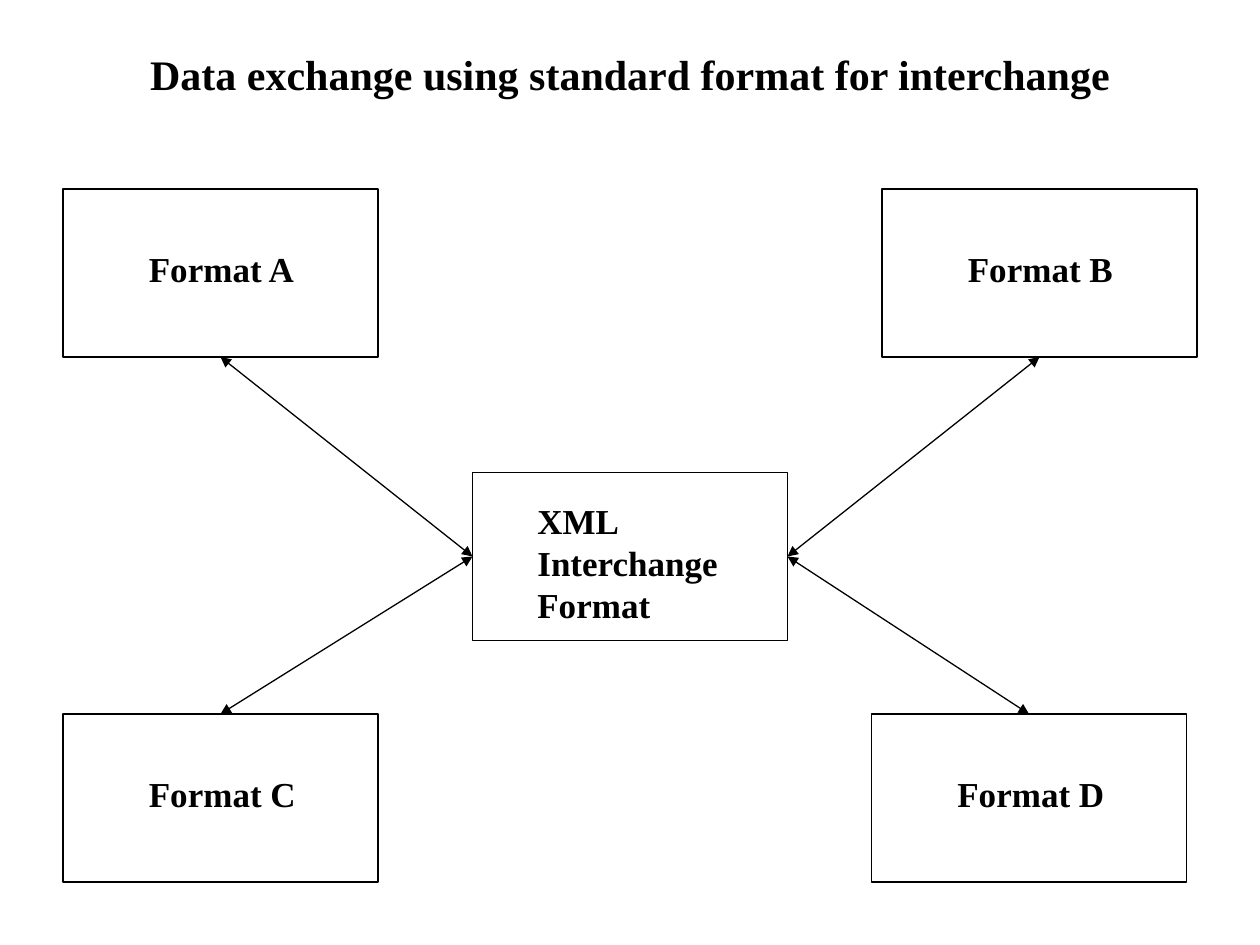
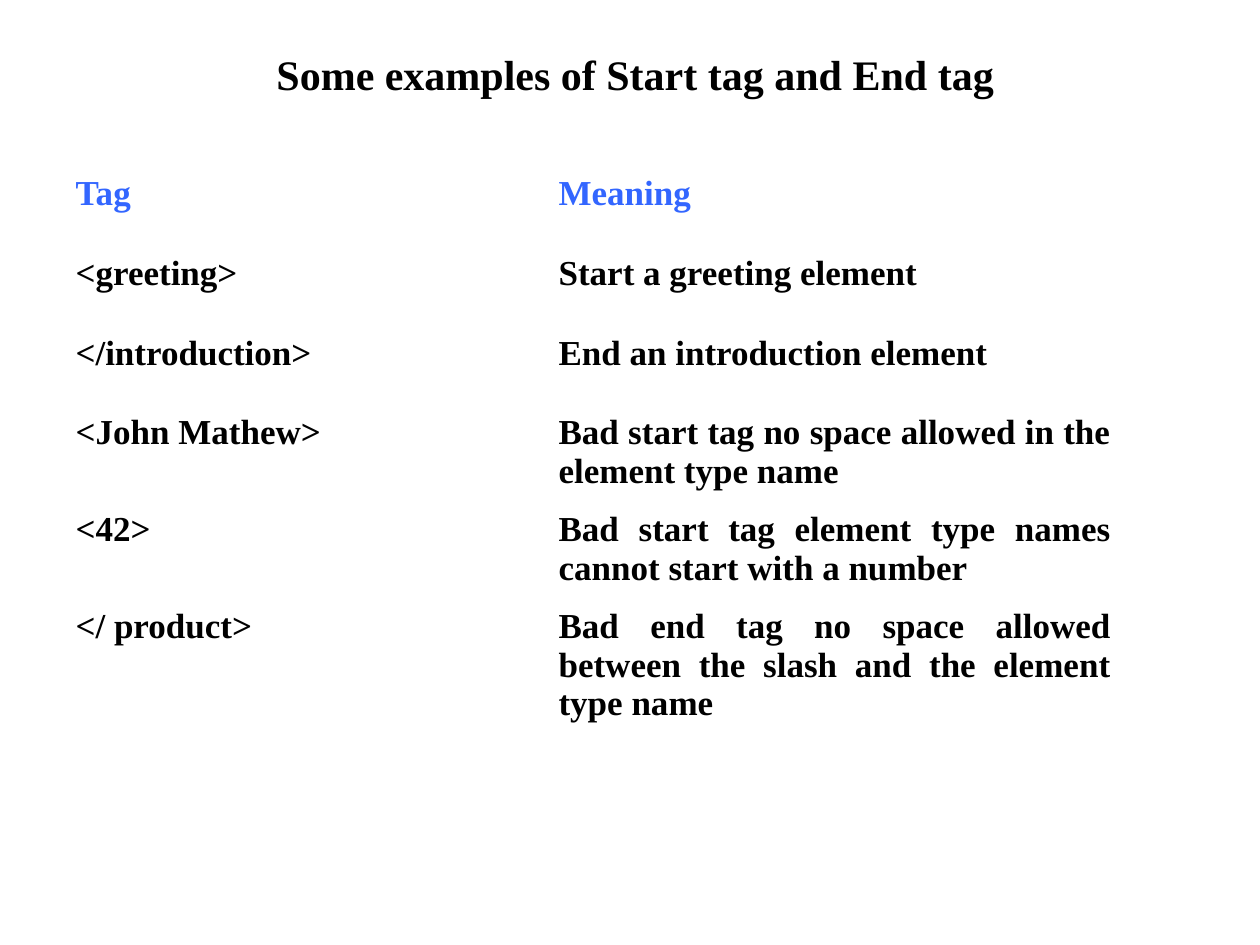
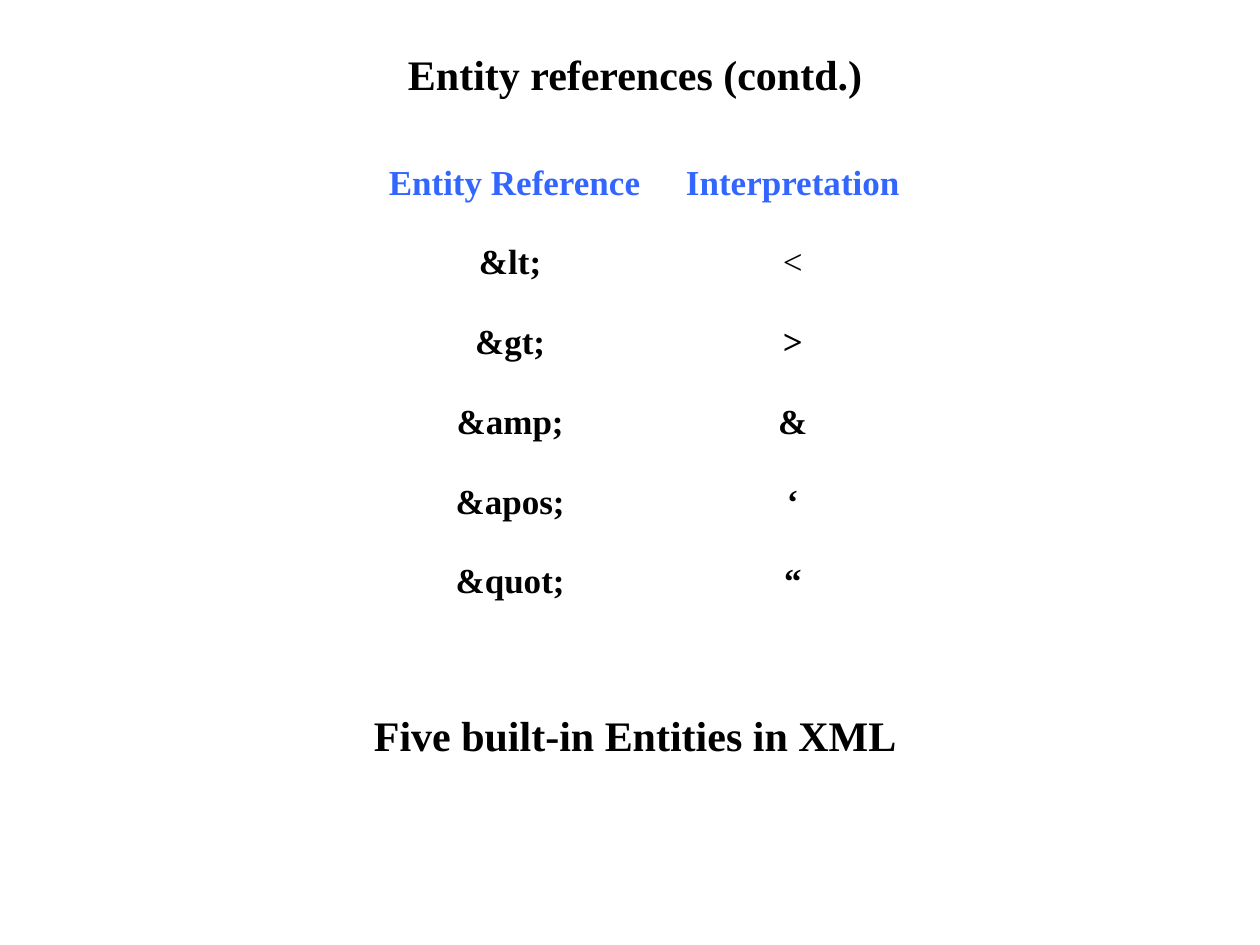
from dataclasses import dataclass

from lxml.etree import SubElement
from pptx import Presentation
from pptx.dml.color import RGBColor as Rgb
from pptx.enum.shapes import MSO_CONNECTOR as Connector, MSO_SHAPE as Shape
from pptx.enum.text import MSO_AUTO_SIZE as AutoSize, PP_ALIGN as Align
from pptx.oxml.ns import qn
from pptx.util import Emu, Inches, Pt

COLUMNS, ROWS = 120, 90
WIDTH, HEIGHT = Inches(10), Inches(7.5)
COLORS = {"paper": "FFFFFF", "ink": "000000", "heading": "3366FF"}
FONT = "Times New Roman"
BODY_SIZE, TITLE_SIZE = 20, 24
TOP, LEFT, BOTTOM, RIGHT = range(4)
BOX_WIDTH, BOX_HEIGHT = 30, 16


@dataclass(frozen=True)
class Area:
    column: float
    row: float
    columns: float
    rows: float

    def lengths(self) -> tuple:
        return across(self.column), down(self.row), across(self.columns), down(self.rows)


@dataclass(frozen=True)
class FormatBox:
    text: str
    column: float
    row: float
    label: Area = Area(7, 5, 17, 5.3)


@dataclass(frozen=True)
class Link:
    start: str
    start_side: int
    end: str
    end_side: int


@dataclass(frozen=True)
class Grid:
    area: Area
    widths: tuple
    heights: tuple
    aligns: tuple
    cells: tuple
    plain: tuple = ()


TITLE_AREA = Area(4, 4, 113, 6)
CLOSING_AREA = Area(34, 67, 53, 6)
HUB = "XML Interchange Format"

FORMAT_BOXES = (
    FormatBox("Format A", 6, 18),
    FormatBox("Format B", 84, 18),
    FormatBox("Format C", 6, 68),
    FormatBox("Format D", 83, 68),
    FormatBox(HUB, 45, 45, Area(5, 2, 21, 13.2)),
)

LINKS = (
    Link("Format A", BOTTOM, HUB, LEFT),
    Link("Format C", TOP, HUB, LEFT),
    Link(HUB, RIGHT, "Format B", BOTTOM),
    Link(HUB, RIGHT, "Format D", TOP),
)

TAG_GRID = Grid(
    Area(6, 16, 101, 54.4),
    (46, 55),
    (7.6, 7.6, 7.6, 9.2, 9.2, 13.2),
    (Align.LEFT, Align.JUSTIFY),
    (
        ("Tag", "Meaning"),
        ("<greeting>", "Start a greeting element "),
        ("</introduction>", "End an introduction element"),
        ("<John Mathew>", "Bad start tag no space allowed in the element type name "),
        ("<42>", "Bad start tag element type names cannot start with a number "),
        ("</ product>", "Bad end tag no space allowed between the slash and the element type name "),
    ),
)

ENTITY_GRID = Grid(
    Area(34, 15, 53, 45.6),
    (30, 23),
    (7.6,) * 6,
    (Align.CENTER, Align.CENTER),
    (
        ("Entity Reference", "Interpretation"),
        ("&lt; ", "<"),
        ("&gt; ", ">"),
        ("&amp; ", "&"),
        ("&apos; ", "‘"),
        ("&quot; ", "“"),
    ),
    plain=("<",),
)


def across(columns: float) -> Emu:
    return Emu(round(WIDTH * columns / COLUMNS))


def down(rows: float) -> Emu:
    return Emu(round(HEIGHT * rows / ROWS))


def assign(target, values: dict) -> None:
    for name, value in values.items():
        setattr(target, name, value)


def write(frame, text: str, size: float, color: str, bold: bool, layout: dict) -> None:
    para = frame.paragraphs[0]
    assign(para, layout)
    span = para.add_run()
    span.text = text
    assign(span.font, {"name": FONT, "size": Pt(size), "bold": bold})
    span.font.color.rgb = Rgb.from_string(COLORS[color])


def add_text(page, area: Area, text: str, size: float, before: float, align=Align.LEFT) -> None:
    frame = page.shapes.add_textbox(*area.lengths()).text_frame
    assign(frame, {"word_wrap": True, "auto_size": AutoSize.SHAPE_TO_FIT_TEXT})
    layout = {"alignment": align, "space_before": Pt(before), "line_spacing": Pt(size * 1.2)}
    write(frame, text, size, "ink", True, layout)


def add_title(page, text: str) -> None:
    add_text(page, TITLE_AREA, text, TITLE_SIZE, 15, Align.CENTER)


def draw_line(line) -> None:
    line.color.rgb = Rgb.from_string(COLORS["ink"])
    line.width = Pt(0.75)


def add_format_box(page, item: FormatBox):
    area = Area(item.column, item.row, BOX_WIDTH, BOX_HEIGHT)
    box = page.shapes.add_shape(Shape.RECTANGLE, *area.lengths())
    box.shadow.inherit = False
    box.fill.solid()
    box.fill.fore_color.rgb = Rgb.from_string(COLORS["paper"])
    draw_line(box.line)
    label = item.label
    label_area = Area(item.column + label.column, item.row + label.row, label.columns, label.rows)
    add_text(page, label_area, item.text, BODY_SIZE, 12.5)
    return box


def add_link(page, link: Link, boxes: dict) -> None:
    arrow = page.shapes.add_connector(Connector.STRAIGHT, 0, 0, 0, 0)
    arrow.begin_connect(boxes[link.start], link.start_side)
    arrow.end_connect(boxes[link.end], link.end_side)
    draw_line(arrow.line)
    properties = arrow.element.spPr
    outline = properties.find(qn("a:ln"))
    for end in ("a:headEnd", "a:tailEnd"):
        SubElement(outline, qn(end), type="triangle")
    SubElement(properties, qn("a:effectLst"))


def add_grid(page, grid: Grid) -> None:
    shape = page.shapes.add_table(len(grid.heights), len(grid.widths), *grid.area.lengths())
    table = shape.table
    assign(table, {"first_row": False, "horz_banding": False})
    for column, width in zip(table.columns, grid.widths):
        column.width = across(width)
    for row, height in zip(table.rows, grid.heights):
        row.height = down(height)
    for row_number, texts in enumerate(grid.cells):
        color = "ink" if row_number else "heading"
        for column_number, text in enumerate(texts):
            cell = table.cell(row_number, column_number)
            cell.fill.background()
            layout = {"alignment": grid.aligns[column_number], "space_before": Pt(5)}
            write(cell.text_frame, text, BODY_SIZE, color, text not in grid.plain, layout)


def add_page(deck):
    page = deck.slides.add_slide(deck.slide_layouts[6])
    page.background.fill.solid()
    page.background.fill.fore_color.rgb = Rgb.from_string(COLORS["paper"])
    return page


def add_exchange_page(deck) -> None:
    page = add_page(deck)
    boxes = {item.text: add_format_box(page, item) for item in FORMAT_BOXES}
    for link in LINKS:
        add_link(page, link, boxes)
    add_title(page, "Data exchange using standard format for interchange ")


def add_tag_page(deck) -> None:
    page = add_page(deck)
    add_title(page, "Some examples of Start tag and End tag")
    add_grid(page, TAG_GRID)


def add_entity_page(deck) -> None:
    page = add_page(deck)
    add_title(page, "Entity references (contd.)")
    add_grid(page, ENTITY_GRID)
    add_text(page, CLOSING_AREA, "Five built-in Entities in XML", TITLE_SIZE, 6, Align.CENTER)


def main() -> None:
    deck = Presentation()
    assign(deck, {"slide_width": WIDTH, "slide_height": HEIGHT})
    add_exchange_page(deck)
    add_tag_page(deck)
    add_entity_page(deck)
    deck.save("out.pptx")


if __name__ == "__main__":
    main()
